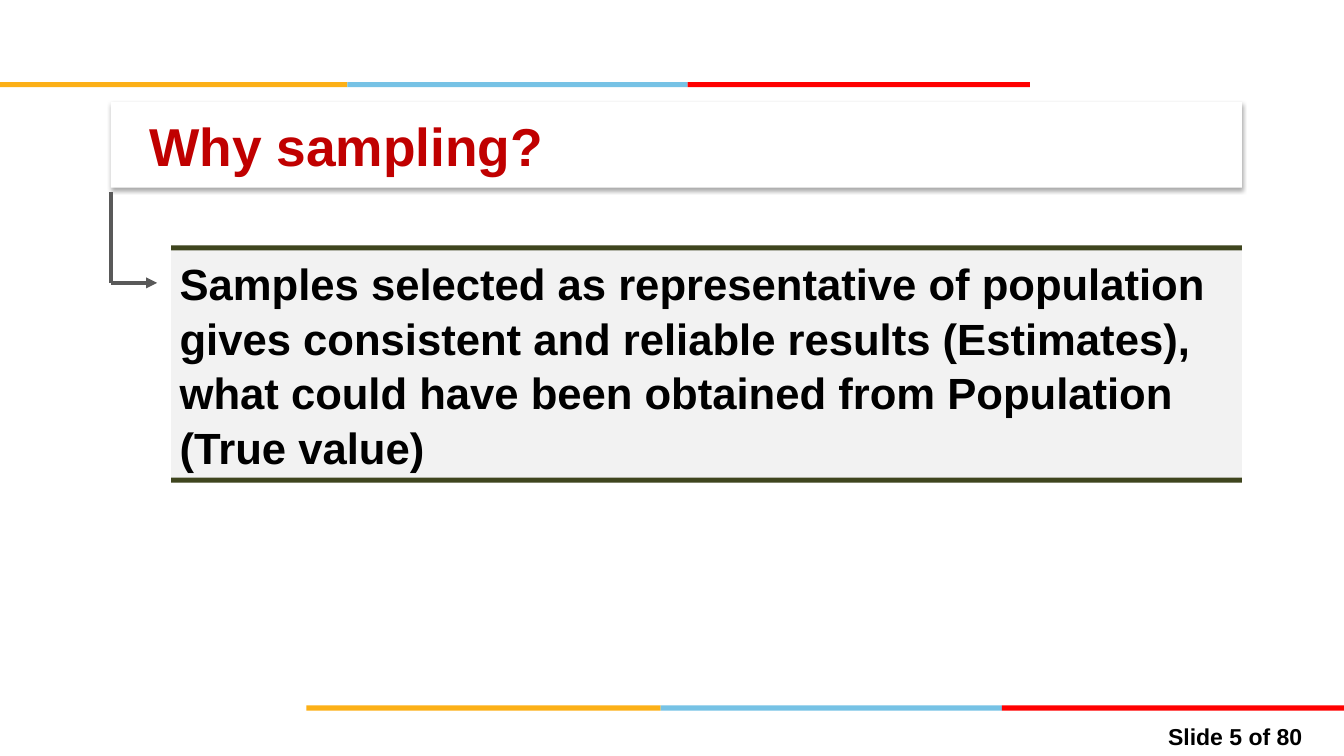
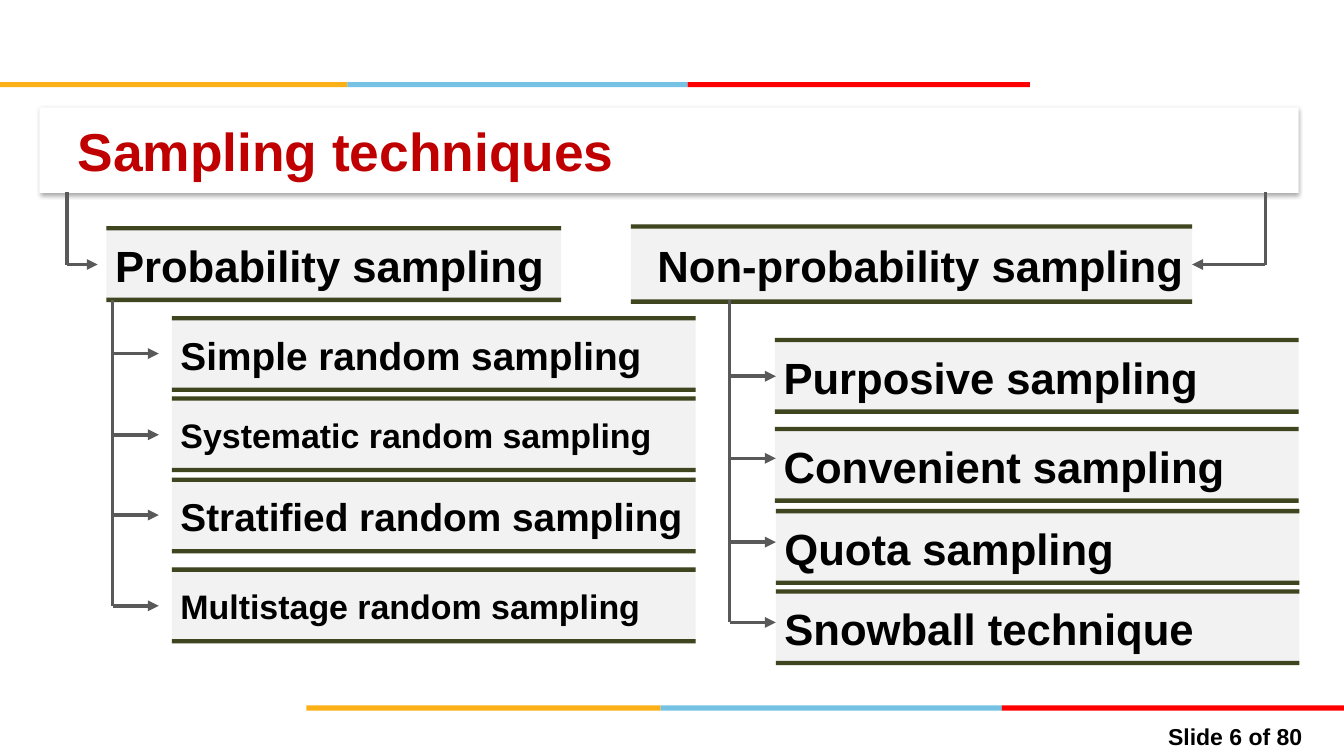
from lxml.etree import SubElement
from pptx import Presentation
from pptx.dml.color import RGBColor
from pptx.enum.shapes import MSO_CONNECTOR, MSO_SHAPE
from pptx.enum.text import MSO_ANCHOR, MSO_AUTO_SIZE, PP_ALIGN
from pptx.oxml.ns import qn
from pptx.util import Inches, Pt

GOLD, SKY, RED = "FCB017", "76C2E5", "FF0000"
TITLE, INK, PANEL, EDGE, WIRE = "C00000", "000000", "F2F2F2", "3F451E", "595959"
LEFT, RIGHT = PP_ALIGN.LEFT, PP_ALIGN.RIGHT


def box(slide, at, fill=None, text="", size=36, color=INK, align=LEFT,
        inset=0.1, space=1.0, shape=None):
    """Place a filled, lettered box; format the given shape or a new rectangle."""
    shape = shape or slide.shapes.add_shape(MSO_SHAPE.RECTANGLE, 0, 0, 0, 0)
    shape.left, shape.top, shape.width, shape.height = map(Inches, at)
    if fill:
        shape.fill.solid()
        shape.fill.fore_color.rgb = RGBColor.from_string(fill)
        shape.line.fill.background()
        shape.shadow.inherit = False
    if text:
        frame = shape.text_frame
        frame.word_wrap = True
        frame.auto_size = MSO_AUTO_SIZE.NONE
        frame.vertical_anchor = MSO_ANCHOR.MIDDLE
        frame.margin_left = Inches(inset)
        para = frame.paragraphs[0]
        para.alignment, para.line_spacing = align, space
        run = para.add_run()
        run.text = text
        font = run.font
        font.name, font.size, font.bold = "Arial", Pt(size), True
        font.color.rgb = RGBColor.from_string(color)
    return shape


def wire(slide, start, end, tip=False):
    """Draw a straight line, with an arrowhead at its end if tip is set."""
    line = slide.shapes.add_connector(
        MSO_CONNECTOR.STRAIGHT, *map(Inches, (*start, *end)))
    line.line.width = Pt(3)
    line.line.color.rgb = RGBColor.from_string(WIRE)
    if tip:
        SubElement(line.line._get_or_add_ln(), qn("a:tailEnd"), type="triangle")
    SubElement(line.element.spPr, qn("a:effectLst"))


deck = Presentation()
deck.slide_width, deck.slide_height = Inches(15.4), Inches(8.66)
layout = deck.slide_layouts[5]
for holder in list(layout.placeholders)[1:]:
    holder.element.getparent().remove(holder.element)

# title, title place, panels (at, text, size, align), trunks, arrows
PAGES = [
    ("Why sampling?", (1.27, 1.17, 12.96, 0.98), 0.06,
     [((1.96, 2.81, 12.27, 2.72),
       "Samples selected as representative of population gives consistent "
       "and reliable results (Estimates), what could have been obtained "
       "from Population (True value)", 36, LEFT)],
     [(1.27, 2.2, 1.8, [3.24])]),
    ("Sampling techniques", (0.45, 1.23, 14.43, 0.98), 0.05,
     [((1.22, 2.59, 5.21, 0.87), "Probability sampling", 36, LEFT),
      ((7.23, 2.57, 6.43, 0.91), "Non-probability sampling", 36, RIGHT)]
     + [((x, y, 6, 0.87), text, size, LEFT) for x, y, text, size in [
         (1.97, 3.62, "Simple random sampling", 32),
         (1.97, 4.54, "Systematic random sampling", 28),
         (1.97, 5.47, "Stratified random sampling", 32),
         (1.97, 6.5, "Multistage random sampling", 28),
         (8.88, 3.87, "Purposive sampling", 36),
         (8.88, 4.89, "Convenient sampling", 36),
         (8.89, 5.83, "Quota sampling", 36),
         (8.89, 6.75, "Snowball technique", 36)]],
     [(0.77, 2.2, 1.12, [3.03]),
      (14.5, 2.2, 13.66, [3.03]),
      (1.29, 3.44, 1.82, [4.05, 4.98, 5.9, 6.94]),
      (8.36, 3.44, 8.89, [4.31, 5.25, 6.21, 7.13])]),
]

for number, (title, place, edge, panels, trunks) in enumerate(PAGES, 5):
    slide = deck.slides.add_slide(layout)
    if number == 5:  # the bands are drawn once and kept in the layout
        for top, stops in [(0.94, (0, 3.98, 7.88, 11.8)),
                           (8.08, (3.51, 7.57, 11.48, 15.4))]:
            for color, x, end in zip((GOLD, SKY, RED), stops, stops[1:]):
                band = box(slide, (x, top, end - x, 0.06), color)
                layout.shapes.element.append(band.element)

    head = box(slide, place, "FFFFFF", title, 44, TITLE, inset=0.44,
               shape=slide.shapes.title)
    glow = SubElement(head.element.spPr.find(qn("a:effectLst")),
                      qn("a:outerShdw"), blurRad=str(Pt(3.5)),
                      dist=str(Pt(2.2)), dir="5400000", rotWithShape="0")
    tint = SubElement(glow, qn("a:srgbClr"), val="000000")
    SubElement(tint, qn("a:alpha"), val="32000")

    for (x, y, wide, high), text, size, align in panels:
        box(slide, (x, y, wide, high), PANEL, text, size, align=align, space=1.04)
        for top in (y, y + high - edge):
            box(slide, (x, top, wide, edge), EDGE)

    for x, top, tip, rows in trunks:
        wire(slide, (x, top), (x, rows[-1]))
        for y in rows:
            wire(slide, (x, y), (tip, y), tip=True)

    box(slide, (12.77, 8.24, 2.25, 0.39), None, f"Slide {number} of 80", 19,
        align=RIGHT, shape=slide.shapes.add_textbox(0, 0, 0, 0))

deck.save("out.pptx")
